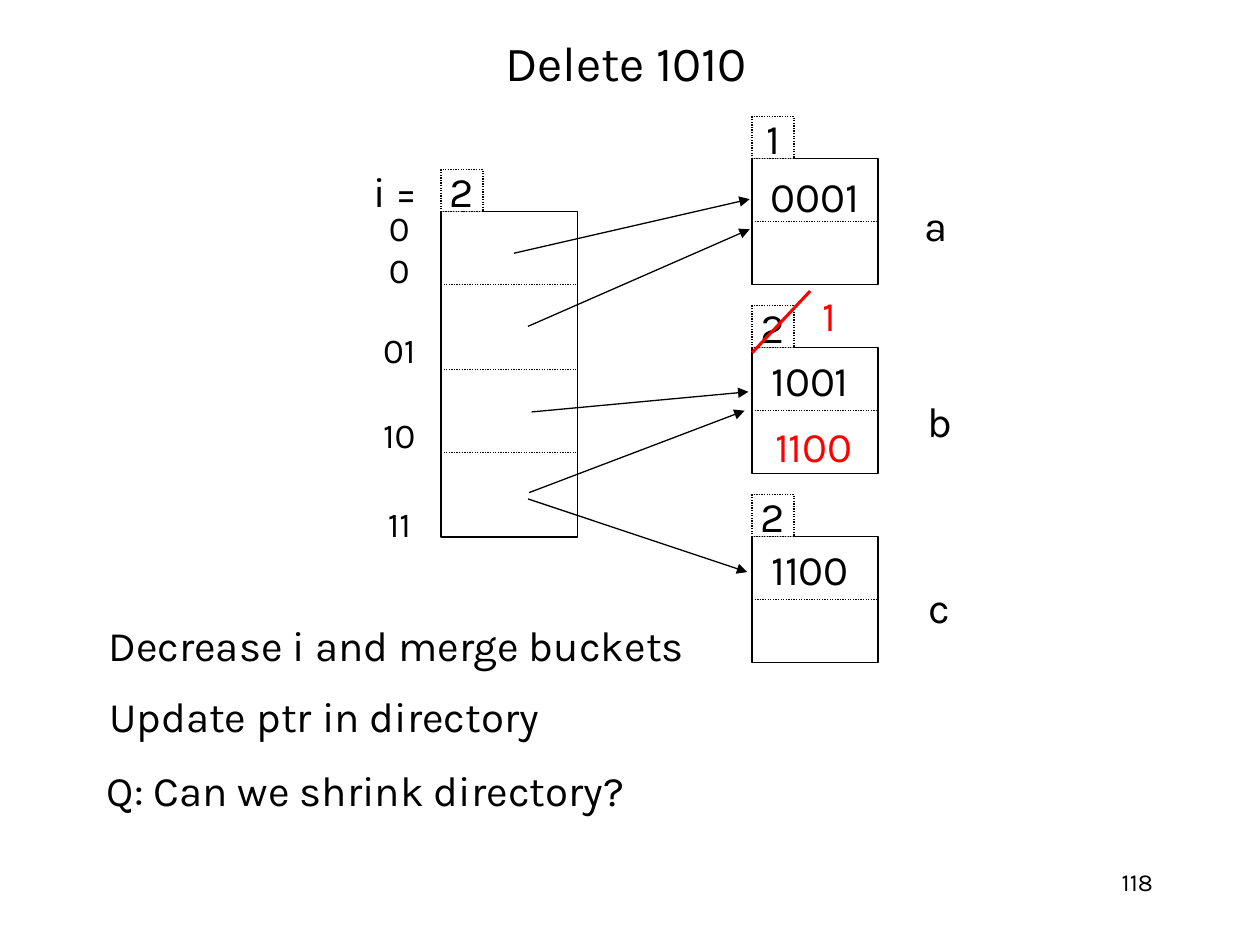
from lxml.etree import SubElement
from pptx import Presentation
from pptx.dml.color import RGBColor
from pptx.enum.dml import MSO_LINE
from pptx.enum.shapes import MSO_CONNECTOR, MSO_SHAPE
from pptx.enum.text import MSO_ANCHOR as Anchor, MSO_AUTO_SIZE, PP_ALIGN as Align
from pptx.oxml.ns import qn
from pptx.util import Pt

BLACK = RGBColor(0, 0, 0)
WHITE = RGBColor(255, 255, 255)
RED = RGBColor(255, 0, 0)
FONT = "Karla"

prs = Presentation()
prs.slide_width, prs.slide_height = Pt(720), Pt(540)
slide = prs.slides.add_slide(prs.slide_layouts[1])
shapes = slide.shapes


def write(holder, text, size=24, color=BLACK, align=Align.LEFT, anchor=Anchor.TOP, wrap=False):
    frame = holder.text_frame
    frame.auto_size = MSO_AUTO_SIZE.NONE
    frame.word_wrap = wrap
    frame.vertical_anchor = anchor
    frame.text = text
    for paragraph in frame.paragraphs:
        paragraph.alignment = align
        paragraph.space_before = Pt(0)
        paragraph.font.name = FONT
        paragraph.font.size = Pt(size)
        paragraph.font.color.rgb = color
    return frame


def add_line(x1, y1, x2, y2, color=BLACK, width=0.75, dotted=False, arrow=False):
    line = shapes.add_connector(MSO_CONNECTOR.STRAIGHT, Pt(x1), Pt(y1), Pt(x2), Pt(y2))
    line.line.color.rgb = color
    line.line.width = Pt(width)
    if dotted:
        line.line.dash_style = MSO_LINE.ROUND_DOT
    if arrow:
        SubElement(line.line._get_or_add_ln(), qn("a:tailEnd"), type="triangle")
    SubElement(line._element.spPr, qn("a:effectLst"))


title = shapes.title
title.left, title.top, title.width, title.height = Pt(51.8), Pt(12.2), Pt(612), Pt(46.8)
write(title, "Delete 1010", 28, align=Align.CENTER, anchor=Anchor.MIDDLE, wrap=True)

first_step = slide.placeholders[1]
first_step.left, first_step.top, first_step.width, first_step.height = Pt(54.7), Pt(350.6), Pt(612), Pt(82.8)
next_step = shapes.add_textbox(Pt(55.4), Pt(391), Pt(612), Pt(82.8))
question = shapes.add_textbox(Pt(54), Pt(433.4), Pt(612), Pt(82.8))
for holder, text in [
    (first_step, "Decrease i and merge buckets"),
    (next_step, "Update ptr in directory"),
    (question, "Q: Can we shrink directory?"),
]:
    frame = write(holder, text, wrap=True)
    properties = frame.paragraphs[0]._p.get_or_add_pPr()
    properties.set("marL", str(Pt(27)))
    properties.set("indent", str(Pt(-27)))
    SubElement(properties, qn("a:buNone"))

BUCKET_LEFT, BUCKET_SIZE, TAG_SIZE = 429.8, 72, 24
bucket_tops = [90.7 + 108 * n for n in range(3)]
tables = [(252, 121, 78, 185.8, "2", [162.7, 211, 258.5])]
for top, depth in zip(bucket_tops, "122"):
    tables.append((BUCKET_LEFT, top, BUCKET_SIZE, BUCKET_SIZE, depth, [top + BUCKET_SIZE / 2]))

for left, top, width, height, depth, dividers in tables:
    outline = shapes.add_shape(MSO_SHAPE.RECTANGLE, Pt(left), Pt(top), Pt(width), Pt(height))
    tag = shapes.add_shape(MSO_SHAPE.RECTANGLE, Pt(left), Pt(top - TAG_SIZE), Pt(TAG_SIZE), Pt(TAG_SIZE))
    for box in (outline, tag):
        box.shadow.inherit = False
        box.fill.solid()
        box.fill.fore_color.rgb = WHITE
        box.line.color.rgb = BLACK
        box.line.width = Pt(0.75)
    tag.line.dash_style = MSO_LINE.ROUND_DOT
    write(tag, depth, align=Align.CENTER, anchor=Anchor.MIDDLE)
    for y in dividers:
        add_line(left, y, left + width, y, dotted=True)

for text, left, top, width, color in [
    ("i =", 206, 90.7, 40, BLACK),
    ("0001", 431.3, 93.6, 69, BLACK),
    ("1001", 428.4, 198.7, 69, BLACK),
    ("1100", 430.6, 236.9, 69, RED),
    ("1100", 428.4, 306.7, 69, BLACK),
]:
    entry = shapes.add_textbox(Pt(left), Pt(top), Pt(width), Pt(36))
    write(entry, text, color=color, align=Align.CENTER, anchor=Anchor.MIDDLE)

for text, left, top, color in [
    ("a", 521.3, 110.2, BLACK),
    ("b", 522.7, 222.5, BLACK),
    ("c", 523.4, 329, BLACK),
    ("1", 463, 162, RED),
]:
    label = shapes.add_textbox(Pt(left), Pt(top), Pt(28), Pt(36))
    write(label, text, color=color)

prefixes = shapes.add_textbox(Pt(209.5), Pt(126), Pt(37.4), Pt(177))
frame = write(prefixes, "00\n01\n10\n11", 20, align=Align.CENTER, anchor=Anchor.MIDDLE, wrap=True)
for paragraph, spacing in zip(frame.paragraphs[1:], (1.4, 1.5, 1.6)):
    paragraph.space_before = Pt(12.5)
    paragraph.line_spacing = spacing

for pointer in [
    (293.8, 144.7, 428.4, 113.8),
    (301.7, 186.5, 428.4, 131),
    (303.8, 235.4, 427.7, 223.9),
    (302.4, 281.5, 425.5, 234.7),
    (301.7, 285.1, 427, 326.9),
]:
    add_line(*pointer, arrow=True)
add_line(BUCKET_LEFT, 201.6, 463, 166.3, RED, 1.75)

page_number = shapes.add_textbox(Pt(516.2), Pt(491.8), Pt(149.8), Pt(36))
write(page_number, "118", 14, align=Align.RIGHT, wrap=True)

prs.save("out.pptx")
